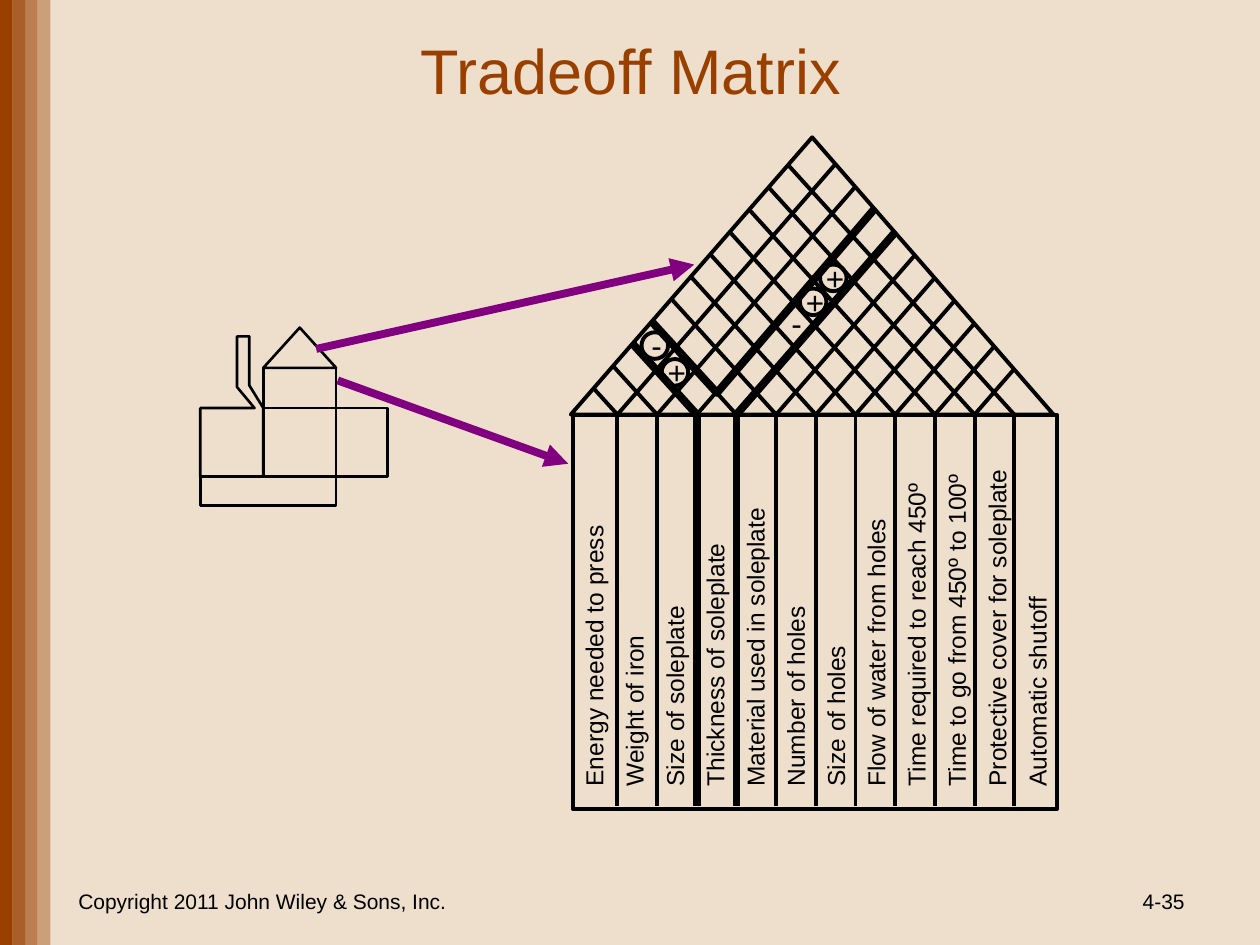
from dataclasses import dataclass

from lxml.etree import SubElement
from pptx import Presentation
from pptx.dml.color import RGBColor
from pptx.enum.shapes import MSO_CONNECTOR, MSO_SHAPE
from pptx.enum.text import MSO_ANCHOR, MSO_AUTO_SIZE, PP_ALIGN
from pptx.oxml.ns import qn
from pptx.util import Pt


@dataclass(frozen=True)
class Theme:
    """Colours, font, type sizes and line widths of the slide."""
    paper: RGBColor = RGBColor(0xEE, 0xDF, 0xCC)
    rust: RGBColor = RGBColor(0x99, 0x40, 0x00)
    ink: RGBColor = RGBColor(0, 0, 0)
    purple: RGBColor = RGBColor(0x80, 0, 0x80)
    font: str = "Arial"
    title: float = 36
    sign: float = 18
    label: float = 14
    footer: float = 12
    thin: float = 1.5
    medium: float = 2.25
    thick: float = 4.5


THEME = Theme()
FEATURES = [
    "Energy needed to press", "Weight of iron", "Size of soleplate",
    "Thickness of soleplate", "Material used in soleplate", "Number of holes",
    "Size of holes", "Flow of water from holes", "Time required to reach 450º",
    "Time to go from 450º to 100º", "Protective cover for soleplate",
    "Automatic shutoff",
]
FIRST_DIVIDER, DIVIDER_STEP = 352.8, 22.68
DIVIDERS = [FIRST_DIVIDER + DIVIDER_STEP * i for i in range(len(FEATURES) - 1)]


def apply(target, values):
    """Set each named attribute of the target."""
    for name, value in values.items():
        setattr(target, name, value)


def points(*lengths):
    """Convert numbers to point lengths."""
    return [Pt(length) for length in lengths]


def outline(shape, width):
    """Give a shape an ink line and no fill or shadow."""
    shape.shadow.inherit = False
    shape.fill.background()
    shape.line.color.rgb = THEME.ink
    shape.line.width = Pt(width)


def add_outline(slide, preset, box, width):
    """Add an unfilled preset shape."""
    outline(slide.shapes.add_shape(preset, *points(*box)), width)


def add_path(slide, origin, vertices, width, close=True):
    """Add an unfilled freeform with vertices relative to the origin."""
    left, top = origin
    (start, *rest) = [points(left + x, top + y) for x, y in vertices]
    builder = slide.shapes.build_freeform(*start, scale=1.0)
    builder.add_line_segments(rest, close=close)
    outline(builder.convert_to_shape(), width)


def add_line(slide, start, end, width, color=THEME.ink, arrow=False):
    """Add a straight line, with an arrowhead at its end if asked."""
    line = slide.shapes.add_connector(
        MSO_CONNECTOR.STRAIGHT, *points(*start, *end))
    line.line.color.rgb = color
    line.line.width = Pt(width)
    if arrow:
        SubElement(line.line._get_or_add_ln(), qn("a:tailEnd"), type="triangle")
    SubElement(line._element.spPr, qn("a:effectLst"))


def write(frame, lines, size, color=THEME.ink, frame_format=None, **paragraph_format):
    """Fill a text frame with formatted paragraphs."""
    apply(frame, frame_format or {})
    for index, words in enumerate(lines):
        paragraph = frame.add_paragraph() if index else frame.paragraphs[0]
        paragraph.text = words
        apply(paragraph, paragraph_format)
        apply(paragraph.font, {"name": THEME.font, "size": Pt(size)})
        paragraph.font.color.rgb = color


def add_side_bands(slide, box):
    """Draw four upright bands that fade to the right."""
    left, top, width, height = box
    opacities = [100, 80, 60, 40]
    band_width = width / len(opacities)
    for index, opacity in enumerate(opacities):
        band = slide.shapes.add_shape(
            MSO_SHAPE.RECTANGLE,
            *points(left + index * band_width, top, band_width, height))
        band.shadow.inherit = False
        band.fill.solid()
        band.fill.fore_color.rgb = THEME.rust
        band.line.fill.background()
        color = band._element.spPr.find(qn("a:solidFill"))[0]
        SubElement(color, qn("a:alpha"), val=str(opacity * 1000))


def set_title(slide, box):
    """Place and format the title."""
    title = slide.shapes.title
    apply(title, dict(zip(("left", "top", "width", "height"), points(*box))))
    write(title.text_frame, ["Tradeoff Matrix"], THEME.title, THEME.rust,
          {"vertical_anchor": MSO_ANCHOR.MIDDLE, "word_wrap": True},
          alignment=PP_ALIGN.CENTER)


def add_footer(slide, box):
    """Write the copyright line and the page number at the two ends."""
    left, top, width, height = box
    copyright_width, page_width = 228, 168
    for x, part_width, words, alignment in (
        (left, copyright_width, "Copyright 2011 John Wiley & Sons, Inc.",
         PP_ALIGN.CENTER),
        (left + width - page_width, page_width, "4-35", PP_ALIGN.RIGHT),
    ):
        part = slide.shapes.add_textbox(*points(x, top, part_width, height))
        write(part.text_frame, [words], THEME.footer,
              frame_format={"vertical_anchor": MSO_ANCHOR.MIDDLE, "word_wrap": True},
              alignment=alignment)


def add_small_house(slide, box):
    """Draw the small house-of-quality outline."""
    left, top, width, height = box
    body, right, eaves, floor, ground = 36, 77.6, 23, 46, 85.2
    add_path(slide, (left, top), [
        (0, ground), (0, floor), (31, floor), (21, 34), (21, 5), (28, 5),
        (28, 33), (body, floor), (body, ground)], THEME.thin)
    add_path(slide, (left, top), [
        (0, ground), (right, ground), (right, height), (0, height)], THEME.thin)
    for x, y, end, bottom in ((body, floor, right, ground),
                              (right, floor, width, ground),
                              (body, eaves, right, floor)):
        add_outline(slide, MSO_SHAPE.RECTANGLE,
                    (left + x, top + y, end - x, bottom - y), THEME.thin)
    add_path(slide, (left, top), [
        (body, eaves), ((body + right) / 2, 0), (right, eaves)], THEME.thin)


def add_feature_columns(slide, box):
    """Draw the divided box with one sideways label per column."""
    left, top, width, height = box
    add_outline(slide, MSO_SHAPE.RECTANGLE, box, THEME.medium)
    for index, x in enumerate(DIVIDERS):
        add_line(slide, (x, top + 0.6), (x, top + height - 1.7),
                 THEME.thick if index in (2, 3) else THEME.medium)
    labels = slide.shapes.add_textbox(
        *points(left + 36.8, top - 21, 197.3, 283.7))
    labels.rotation = 270
    write(labels.text_frame, FEATURES, THEME.label,
          frame_format={"word_wrap": False,
                        "auto_size": MSO_AUTO_SIZE.SHAPE_TO_FIT_TEXT},
          line_spacing=1.37)


def add_sign(slide, center, sign, ringed):
    """Write a plus or minus sign, inside a ring if asked."""
    x, y = center
    width, height, ring = 25, 29, 15.2
    mark = slide.shapes.add_textbox(
        *points(x - width / 2 + 1, y - height / 2, width, height))
    write(mark.text_frame, [sign], THEME.sign,
          frame_format={"word_wrap": False}, alignment=PP_ALIGN.CENTER)
    if ringed:
        add_outline(slide, MSO_SHAPE.OVAL,
                    (x - ring / 2, y - ring / 2, ring, ring), THEME.medium)


def add_roof(slide, box):
    """Draw the triangular tradeoff lattice with its signs."""
    left, top, width, height = box
    base, apex, falling_reach = top + height, left + width / 2, 0.98
    add_outline(slide, MSO_SHAPE.ISOSCELES_TRIANGLE, box, THEME.medium)
    for index, x in enumerate(DIVIDERS):
        share = (x - left) / width
        if index < len(DIVIDERS) - 1:
            add_line(slide, (x, base), (apex + share * width / 2, top + share * height),
                     THEME.thick if index == 3 else THEME.medium)
        reach = share * falling_reach
        if index != 8 or True:
            add_line(slide, (x, base), (left + reach * width / 2, base - reach * height),
                     THEME.thick if index == 2 else THEME.medium)
    for x, y, sign, ringed in ((128, 106, "-", False), (48, 119, "-", True),
                               (150, 80.3, "+", True), (138.5, 94, "+", True),
                               (59.5, 134.3, "+", True)):
        add_sign(slide, (left + x, top + y), sign, ringed)
    add_path(slide, (left, top), [(46, 105), (83.5, 146), (174, 40.3)],
             THEME.thick, close=False)


def add_callout_arrows(slide):
    """Point from the small house to the roof and the columns."""
    for start, end in (((180.7, 199.4), (396.7, 151.2)),
                       ((193, 217.4), (324.7, 265))):
        add_line(slide, start, end, THEME.thick, THEME.purple, arrow=True)


def main():
    """Build and save the slide."""
    deck = Presentation()
    apply(deck, {"slide_width": Pt(720), "slide_height": Pt(540)})
    slide = deck.slides.add_slide(deck.slide_layouts.get_by_name("Title Only"))
    slide.background.fill.solid()
    slide.background.fill.fore_color.rgb = THEME.paper
    add_side_bands(slide, (0, 0, 28.8, 540))
    set_title(slide, (198.5, 0.7, 324, 78))
    add_footer(slide, (36, 500.4, 648, 28.8))
    add_small_house(slide, (114.5, 187.2, 107, 101.5))
    add_callout_arrows(slide)
    add_feature_columns(slide, (327.5, 237, 276.5, 225.4))
    add_roof(slide, (326.2, 78.5, 275.8, 158.4))
    deck.save("out.pptx")


if __name__ == "__main__":
    main()
